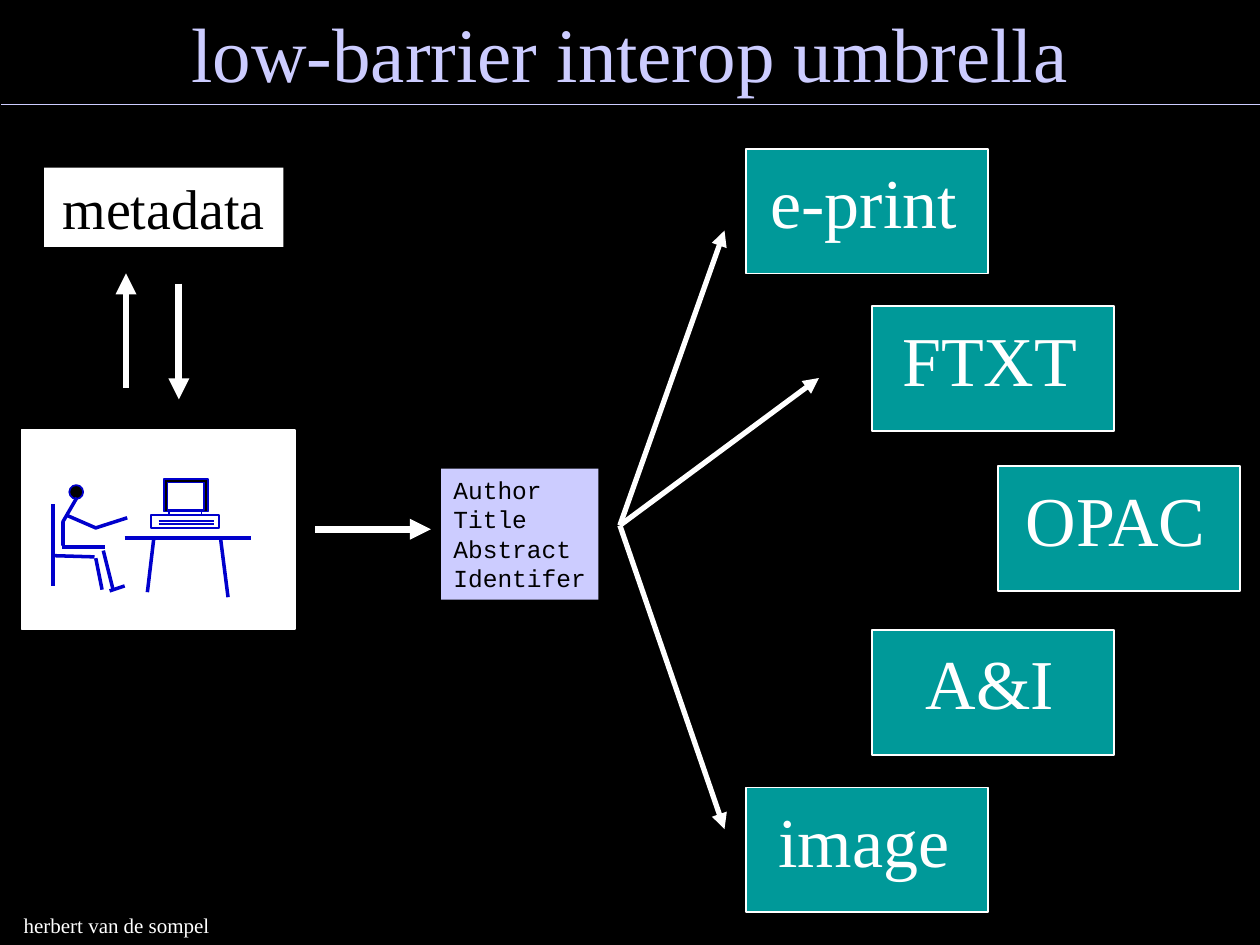
import dataclasses
import typing

import lxml.etree
import pptx
import pptx.dml.color
import pptx.enum.shapes
import pptx.enum.text
import pptx.oxml.ns
import pptx.util

COLS, ROWS = 100, 75
WIDE, HIGH = pptx.util.Inches(10), pptx.util.Inches(7.5)
HUES = {
    "black": "000000",
    "white": "FFFFFF",
    "lilac": "CCCCFF",
    "teal": "009999",
    "blue": "0000CC",
}
KIND = pptx.enum.shapes.MSO_SHAPE
FIT = pptx.enum.text.MSO_AUTO_SIZE
ALIGN = pptx.enum.text.PP_ALIGN
ANCHOR = pptx.enum.text.MSO_ANCHOR
Point = typing.Tuple[float, float]
Area = typing.Tuple[float, float, float, float]


@dataclasses.dataclass
class Panel:
    area: Area
    fill: str
    edge: typing.Optional[str] = None
    kind: int = KIND.RECTANGLE


@dataclasses.dataclass
class Label:
    text: str
    size: float
    hue: str
    face: str = "Times New Roman"
    align: int = ALIGN.LEFT
    frame: dict = dataclasses.field(default_factory=dict)


@dataclasses.dataclass
class Stroke:
    start: Point
    end: Point
    hue: str
    width: float
    arrow: bool = False


GROW = {"auto_size": FIT.SHAPE_TO_FIT_TEXT, "word_wrap": True}
SNUG = {**GROW, "word_wrap": False}
TITLE = {"auto_size": FIT.NONE, "word_wrap": True, "vertical_anchor": ANCHOR.MIDDLE}

STORES = [
    ("OPAC", 79.2, 37),
    ("image", 59.2, 62.5),
    ("FTXT", 69.2, 24.3),
    ("A&I", 69.2, 50),
    ("e-print", 59.2, 11.8),
]

SCREEN = [
    Panel((1.7, 34.1, 21.7, 15.8), "white", "white"),
    Panel((13.4, 40.1, 2.6, 1.5), "white", "blue"),
    Panel((12, 40.9, 5.4, 1), "white", "blue"),
    Panel((13, 38, 3.5, 2.6), "black", "blue"),
    Panel((13.3, 38.3, 2.9, 2.2), "white", "blue"),
    Panel((5.5, 38.5, 1.1, 1.1), "black", "blue", KIND.OVAL),
]
KEYS = [Stroke((12.6, y), (17, y), "blue", 1) for y in (41.35, 41.6)]
LIMBS = [
    ((9.9, 42.7), (19.9, 42.7)),
    ((12.2, 42.8), (11.7, 47)),
    ((18.1, 47.4), (17.5, 42.7)),
    ((4.2, 40), (4.2, 46.5)),
    ((4.2, 44.1), (7.5, 44.2)),
    ((7.6, 44.3), (8.1, 46.8)),
    ((4.9, 43.4), (8.3, 43.4)),
    ((8.2, 43.7), (9, 46.9)),
    ((8.7, 46.9), (9.9, 46.5)),
]
BENDS = [
    [(6.1, 39.5), (5, 41.4), (5, 43.3)],
    [(5.3, 40.9), (7.6, 41.9), (10.1, 41.1)],
]

HUB = (49.2, 41.7)
ARROWS = [
    Stroke((10, 30.8), (10, 21.7), "white", 4, True),
    Stroke((14.2, 22.5), (14.2, 31.7), "white", 4, True),
    Stroke((25, 42), (34.2, 42), "white", 4, True),
] + [
    Stroke(HUB, end, "white", 3, True)
    for end in ((57.5, 18.3), (65, 30), (57.5, 65.8))
]


def tint(name: str) -> pptx.dml.color.RGBColor:
    return pptx.dml.color.RGBColor.from_string(HUES[name])


def across(col: float) -> int:
    return round(WIDE * col / COLS)


def down(row: float) -> int:
    return round(HIGH * row / ROWS)


def place(area: Area) -> typing.List[int]:
    x, y, w, h = area
    return [across(x), down(y), across(w), down(h)]


def apply(thing: typing.Any, values: dict) -> None:
    for name, value in values.items():
        setattr(thing, name, value)


def ink(line: typing.Any, hue: str, width: float) -> None:
    line.color.rgb = tint(hue)
    line.width = pptx.util.Pt(width)


def add_panel(shapes: typing.Any, panel: Panel) -> typing.Any:
    shape = shapes.add_shape(panel.kind, *place(panel.area))
    shape.shadow.inherit = False
    shape.fill.solid()
    shape.fill.fore_color.rgb = tint(panel.fill)
    if panel.edge:
        ink(shape.line, panel.edge, 1)
    else:
        shape.line.fill.background()
    return shape


def add_label(shape: typing.Any, label: Label) -> None:
    frame = shape.text_frame
    frame.text = label.text
    apply(frame, {"vertical_anchor": ANCHOR.TOP, **label.frame})
    style = {"name": label.face, "size": pptx.util.Pt(label.size)}
    for para in frame.paragraphs:
        para.alignment = label.align
        for run in para.runs:
            apply(run.font, style)
            run.font.color.rgb = tint(label.hue)


def add_stroke(shapes: typing.Any, stroke: Stroke) -> None:
    (x, y), (u, v) = stroke.start, stroke.end
    link = shapes.add_connector(
        pptx.enum.shapes.MSO_CONNECTOR.STRAIGHT, across(x), down(y), across(u), down(v)
    )
    ink(link.line, stroke.hue, stroke.width)
    if stroke.arrow:
        tail = lxml.etree.SubElement(
            link.line._get_or_add_ln(), pptx.oxml.ns.qn("a:tailEnd")
        )
        tail.set("type", "triangle")
    lxml.etree.SubElement(link._element.spPr, pptx.oxml.ns.qn("a:effectLst"))


def add_bend(shapes: typing.Any, points: typing.List[Point]) -> None:
    first, *rest = [(across(x), down(y)) for x, y in points]
    pen = shapes.build_freeform(*first)
    pen.add_line_segments(rest, close=False)
    shape = pen.convert_to_shape()
    shape.shadow.inherit = False
    shape.fill.background()
    ink(shape.line, "blue", 2)


def add_user(shapes: typing.Any) -> None:
    group = shapes.add_group_shape().shapes
    for panel in SCREEN:
        add_panel(group, panel)
    for stroke in KEYS + [Stroke(a, b, "blue", 2) for a, b in LIMBS]:
        add_stroke(group, stroke)
    for bend in BENDS:
        add_bend(group, bend)


def add_store(shapes: typing.Any, name: str, x: float, y: float) -> None:
    group = shapes.add_group_shape().shapes
    add_panel(group, Panel((x, y, 19.2, 9.9), "teal", "white"))
    box = group.add_textbox(*place((x + 0.9, y + 0.3, 16.9, 7.7)))
    add_label(box, Label(name, 40, "white", align=ALIGN.CENTER, frame=GROW))


def main() -> None:
    deck = pptx.Presentation()
    apply(deck, {"slide_width": WIDE, "slide_height": HIGH})
    slide = deck.slides.add_slide(deck.slide_layouts[6])
    slide.background.fill.solid()
    slide.background.fill.fore_color.rgb = tint("black")
    shapes = slide.shapes

    title = Label("low-barrier interop umbrella", 44, "lilac", align=ALIGN.CENTER, frame=TITLE)
    add_label(shapes.add_textbox(*place((0, 1.6, COLS, 5))), title)
    add_stroke(shapes, Stroke((0.1, 8.3), (COLS, 8.3), "lilac", 1))
    foot = Label("herbert van de sompel", 12, "white", frame=GROW)
    add_label(shapes.add_textbox(*place((0.9, 71.9, 18, 3))), foot)

    add_user(shapes)
    meta = add_panel(shapes, Panel((3.5, 13.3, 19, 6.3), "white"))
    add_label(meta, Label("metadata", 32, "black", align=ALIGN.CENTER, frame=GROW))
    for store in STORES:
        add_store(shapes, *store)
    record = add_panel(shapes, Panel((35, 37.2, 12.5, 10.4), "lilac"))
    fields = "\n".join(["Author", "Title", "Abstract", "Identifer"])
    add_label(record, Label(fields, 14, "black", "Courier New", frame=SNUG))
    for arrow in ARROWS:
        add_stroke(shapes, arrow)
    deck.save("out.pptx")


if __name__ == "__main__":
    main()
